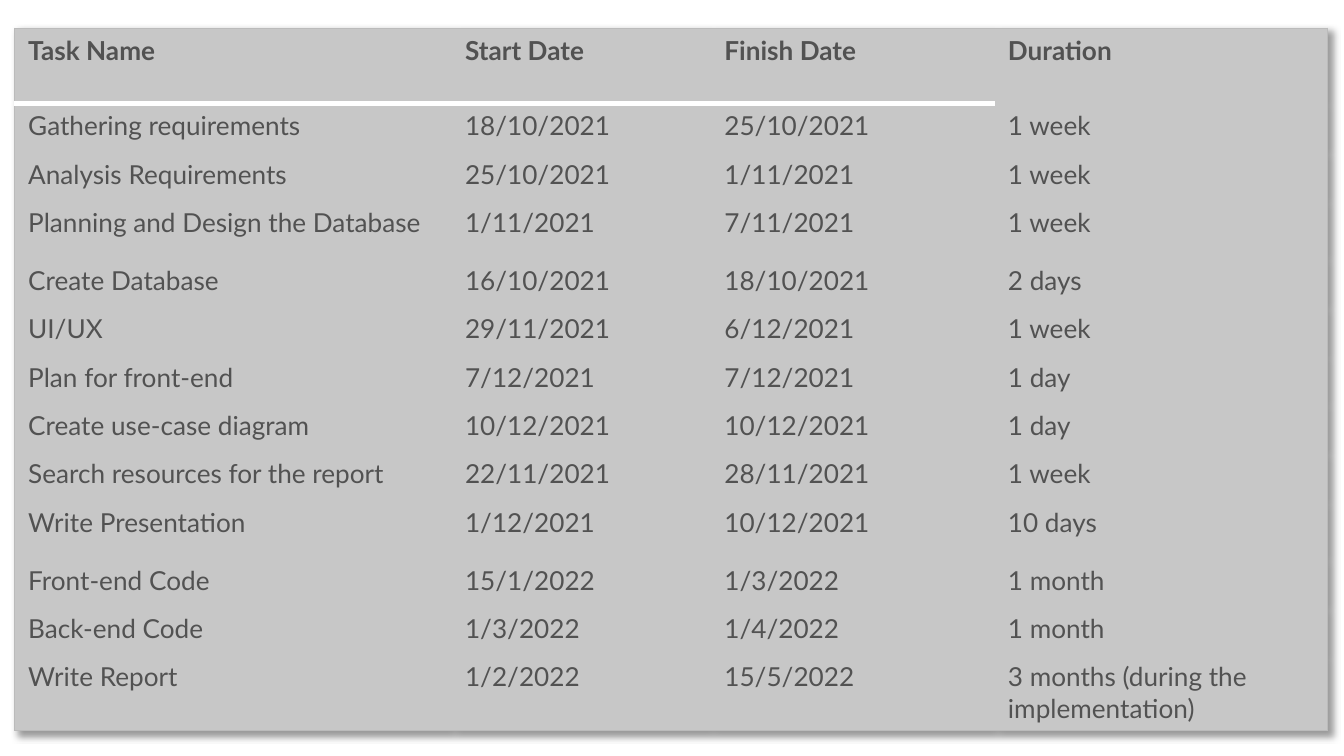
from lxml import etree
from pptx import Presentation
from pptx import util as u
from pptx.dml.color import RGBColor
from pptx.oxml import parse_xml

NS = "http://schemas.openxmlformats.org/drawingml/2006/main"
NO_STYLE = "{2D5ABB26-0587-4C30-8999-92F81FD0307C}"
COLORS = {"fill": "C7C7C7", "text": "525252", "edge": "BBBBBB",
          "rule": "FFFFFF", "shadow": "000000"}

TASKS = [
    ("Task Name", "Start Date", "Finish Date", "Duration"),
    ("Gathering requirements", "18/10/2021", "25/10/2021", "1 week"),
    ("Analysis Requirements", "25/10/2021", "1/11/2021", "1 week"),
    ("Planning and Design the Database", "1/11/2021", "7/11/2021", "1 week"),
    ("Create Database", "16/10/2021", "18/10/2021", "2 days"),
    ("UI/UX", "29/11/2021", "6/12/2021", "1 week"),
    ("Plan for front-end", "7/12/2021", "7/12/2021", "1 day"),
    ("Create use-case diagram", "10/12/2021", "10/12/2021", "1 day"),
    ("Search resources for the report", "22/11/2021", "28/11/2021", "1 week"),
    ("Write Presentation", "1/12/2021", "10/12/2021", "10 days"),
    ("Front-end Code", "15/1/2022", "1/3/2022", "1 month"),
    ("Back-end Code", "1/3/2022", "1/4/2022", "1 month"),
    ("Write Report", "1/2/2022", "15/5/2022", "3 months (during the implementation)"),
]
COL_WIDTHS = [3.25, 1.93, 2.11, 2.48]
ROW_HEIGHT = 0.36
TALL_ROWS = {0: 0.56, 3: 0.43, 9: 0.43}


class Deck:
    """Holds the text style and the current slide."""

    def __init__(self, s, font="Lato", size=14):
        self.s, self.font, self.size = s, font, size

    def border(self, cell, side, color, width):
        ln = etree.SubElement(cell._tc.get_or_add_tcPr(), f"{{{NS}}}ln{side}",
                              w=str(u.Pt(width)))
        fill = etree.SubElement(ln, f"{{{NS}}}solidFill")
        etree.SubElement(fill, f"{{{NS}}}srgbClr", val=COLORS[color])

    def cell(self, cell, words, bold, borders):
        cell.text_frame.text = words
        f = cell.text_frame.paragraphs[0].runs[0].font
        f.name, f.size, f.bold = self.font, u.Pt(self.size), bold
        f.color.rgb = RGBColor.from_string(COLORS["text"])
        # Borders precede the fill in the cell properties
        for side, (color, width) in borders.items():
            self.border(cell, side, color, width)
        cell.fill.solid()
        cell.fill.fore_color.rgb = RGBColor.from_string(COLORS["fill"])

    def shadow(self, tbl):
        tbl.tblPr.insert(0, parse_xml(
            f'<a:effectLst xmlns:a="{NS}"><a:outerShdw blurRad="50800" dist="38100" '
            f'dir="2700000" algn="tl" rotWithShape="0"><a:srgbClr val="{COLORS["shadow"]}">'
            '<a:alpha val="40000"/></a:srgbClr></a:outerShdw></a:effectLst>'))

    def table(self, rows, x, y, widths, heights):
        last_row, last_col = len(rows) - 1, len(widths) - 1
        sp = self.s.shapes.add_table(len(rows), len(widths), u.Inches(x), u.Inches(y),
                                     u.Inches(sum(widths)), u.Inches(sum(heights)))
        table = sp.table
        table.horz_banding = False
        tbl = table._tbl
        tbl.tblPr.find(f"{{{NS}}}tableStyleId").text = NO_STYLE
        self.shadow(tbl)
        for col, width in zip(table.columns, widths):
            col.width = u.Inches(width)
        for row, height in zip(table.rows, heights):
            row.height = u.Inches(height)

        # Thin outer frame, white rule under the first three headings
        edge = ("edge", 0.75)
        for i, row in enumerate(rows):
            for j, words in enumerate(row):
                borders = {}
                if j == 0:
                    borders["L"] = edge
                if j == last_col:
                    borders["R"] = edge
                if i == 0:
                    borders["T"] = edge
                if i == 0 and j < last_col:
                    borders["B"] = ("rule", 3)
                if i == last_row:
                    borders["B"] = edge
                self.cell(table.cell(i, j), words, i == 0, borders)


def main():
    prs = Presentation()
    # Widescreen, 16:9
    prs.slide_width = u.Inches(10)
    prs.slide_height = prs.slide_width * 9 // 16
    deck = Deck(prs.slides.add_slide(prs.slide_layouts[6]))

    # Task schedule
    heights = [TALL_ROWS.get(i, ROW_HEIGHT) for i in range(len(TASKS))]
    deck.table(TASKS, 0.11, 0.21, COL_WIDTHS, heights)
    prs.save("out.pptx")


if __name__ == "__main__":
    main()
